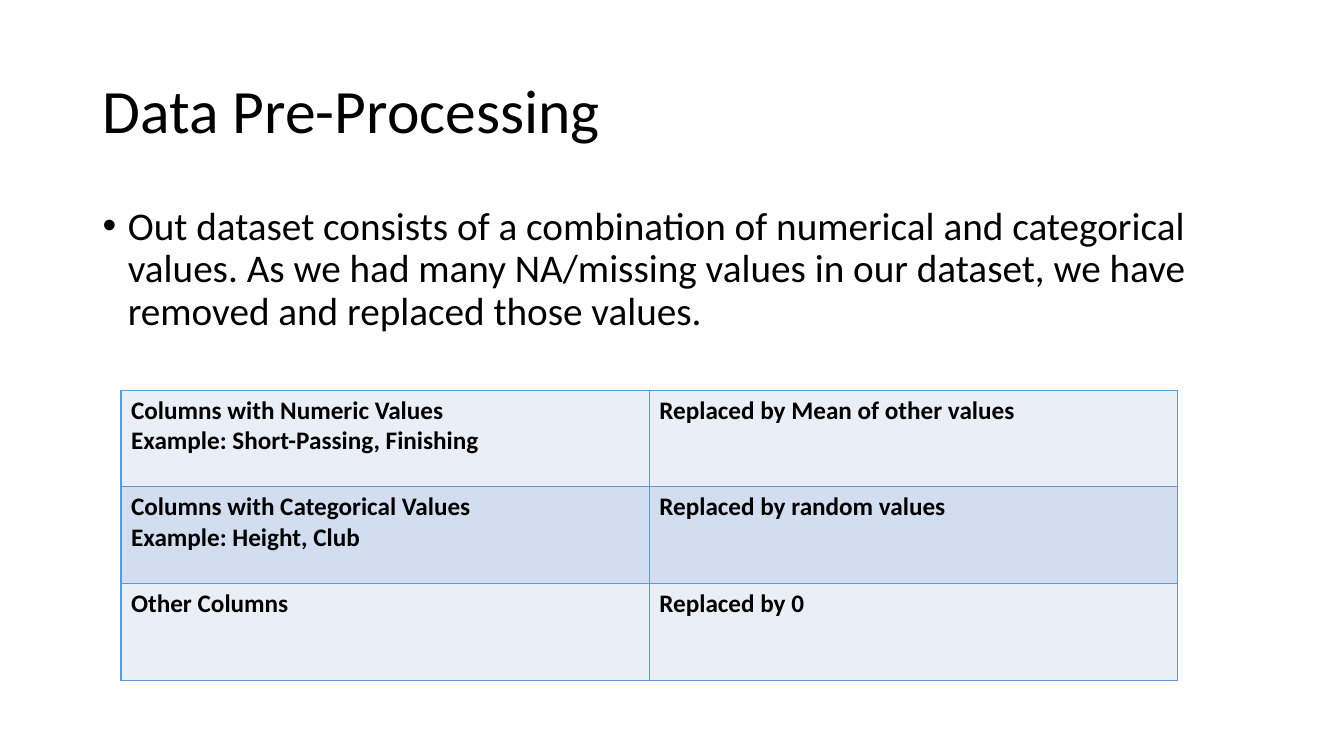
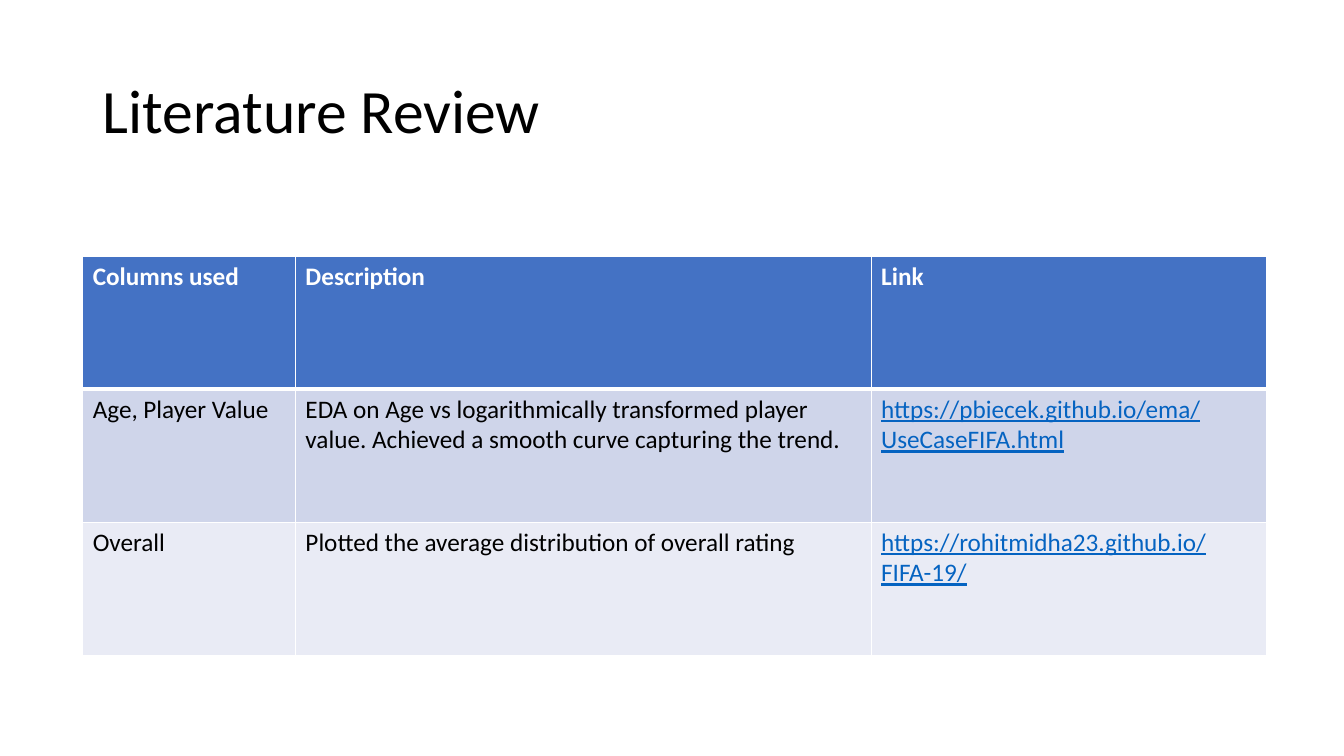
from dataclasses import dataclass

from lxml.etree import SubElement
from pptx import Presentation
from pptx.dml.color import RGBColor
from pptx.enum.text import MSO_ANCHOR
from pptx.oxml.ns import qn
from pptx.util import Inches, Pt


@dataclass(frozen=True)
class Theme:
    font: str = "Calibri"
    text: str = "000000"
    white: str = "FFFFFF"
    link: str = "0563C1"
    header: str = "4472C4"
    grid: str = "5B9BD5"
    replacement_bands: tuple = ("EAEFF7", "D2DEEF")
    review_bands: tuple = ("CFD5EA", "E9EBF5")
    title_size: int = 44
    body_size: int = 28
    table_size: int = 18
    line_spacing: float = 0.9
    thin: int = 1
    thick: int = 3


THEME = Theme()
MARGIN = 0.92
CONTENT_WIDTH = 11.5

REPLACEMENTS = [
    ["Columns with Numeric Values\nExample: Short-Passing, Finishing", "Replaced by Mean of other values"],
    ["Columns with Categorical Values\nExample: Height, Club", "Replaced by random values"],
    ["Other Columns", "Replaced by 0"],
]
REVIEW = [
    ["Columns used", "Description", "Link"],
    [
        "Age, Player Value",
        "EDA on Age vs logarithmically transformed player value. Achieved a smooth curve capturing the trend.",
        "https://pbiecek.github.io/ema/UseCaseFIFA.html",
    ],
    ["Overall", "Plotted the average distribution of overall rating", "https://rohitmidha23.github.io/FIFA-19/"],
]


def format_font(font, size, color=THEME.text, **values):
    for name, value in {"name": THEME.font, "size": Pt(size), **values}.items():
        setattr(font, name, value)
    font.color.rgb = RGBColor.from_string(color)


def add_text(slide, text, top, height, size, anchor=MSO_ANCHOR.TOP, bullet=False):
    box = slide.shapes.add_textbox(Inches(MARGIN), Inches(top), Inches(CONTENT_WIDTH), Inches(height))
    frame = box.text_frame
    for name, value in {"word_wrap": True, "vertical_anchor": anchor, "text": text}.items():
        setattr(frame, name, value)
    paragraph = frame.paragraphs[0]
    paragraph.line_spacing = THEME.line_spacing
    if bullet:
        add_bullet(paragraph)
    format_font(paragraph.runs[0].font, size)


def add_bullet(paragraph, indent=0.25):
    properties = paragraph._p.get_or_add_pPr()
    properties.set("marL", str(Inches(indent)))
    properties.set("indent", str(-Inches(indent)))
    SubElement(properties, qn("a:buFont"), typeface="Arial")
    SubElement(properties, qn("a:buChar"), char="•")


def add_borders(cell, color, widths):
    properties = cell._tc.get_or_add_tcPr()
    for side, width in widths.items():
        line = SubElement(properties, qn(f"a:ln{side}"), w=str(Pt(width)))
        fill = SubElement(line, qn("a:solidFill"))
        SubElement(fill, qn("a:srgbClr"), val=color)


def fill_cell(cell, text, fill, border, widths, **font_values):
    add_borders(cell, border, widths)
    cell.fill.solid()
    cell.fill.fore_color.rgb = RGBColor.from_string(fill)
    cell.text = text
    for paragraph in cell.text_frame.paragraphs:
        format_font(paragraph.runs[0].font, THEME.table_size, **font_values)


def text_style(text, is_header, bold):
    if is_header:
        return {"color": THEME.white, "bold": True}
    if text.startswith("https://"):
        return {"color": THEME.link, "bold": bold, "underline": True}
    return {"color": THEME.text, "bold": bold}


def add_table(slide, rows, left, top, column_widths, row_height, bands, border, header=False, bold=False):
    frame = slide.shapes.add_table(
        len(rows), len(column_widths), Inches(left), Inches(top),
        Inches(sum(column_widths)), Inches(row_height * len(rows)),
    )
    table = frame.table
    for name, value in {"first_row": header, "horz_banding": False}.items():
        setattr(table, name, value)
    for column, width in zip(table.columns, column_widths):
        column.width = Inches(width)
    for row_index, texts in enumerate(rows):
        table.rows[row_index].height = Inches(row_height)
        is_header = header and row_index == 0
        fill = THEME.header if is_header else bands[(row_index - header) % len(bands)]
        widths = dict.fromkeys("LRTB", THEME.thin)
        if header and row_index < 2:
            widths["B" if is_header else "T"] = THEME.thick
        for column_index, text in enumerate(texts):
            cell = table.cell(row_index, column_index)
            fill_cell(cell, text, fill, border, widths, **text_style(text, is_header, bold))


def add_titled_slide(presentation, title):
    slide = presentation.slides.add_slide(presentation.slide_layouts[6])
    add_text(slide, title, 0.4, 1.45, THEME.title_size, MSO_ANCHOR.MIDDLE)
    return slide


def build_preprocessing(presentation):
    slide = add_titled_slide(presentation, "Data Pre-Processing")
    add_text(
        slide,
        "Out dataset consists of a combination of numerical and categorical values. "
        "As we had many NA/missing values in our dataset, we have removed and replaced those values.",
        2, 4.76, THEME.body_size, bullet=True,
    )
    add_table(
        slide, REPLACEMENTS, 1.2, 3.87, [5.24, 5.24], 0.96,
        THEME.replacement_bands, THEME.grid, bold=True,
    )


def build_review(presentation):
    slide = add_titled_slide(presentation, "Literature Review")
    add_table(
        slide, REVIEW, 0.82, 2.54, [2.11, 5.71, 3.92], 1.32,
        THEME.review_bands, THEME.white, header=True,
    )


def main():
    presentation = Presentation()
    presentation.slide_width = Inches(13.33)
    presentation.slide_height = Inches(7.5)
    build_preprocessing(presentation)
    build_review(presentation)
    presentation.save("out.pptx")


if __name__ == "__main__":
    main()
